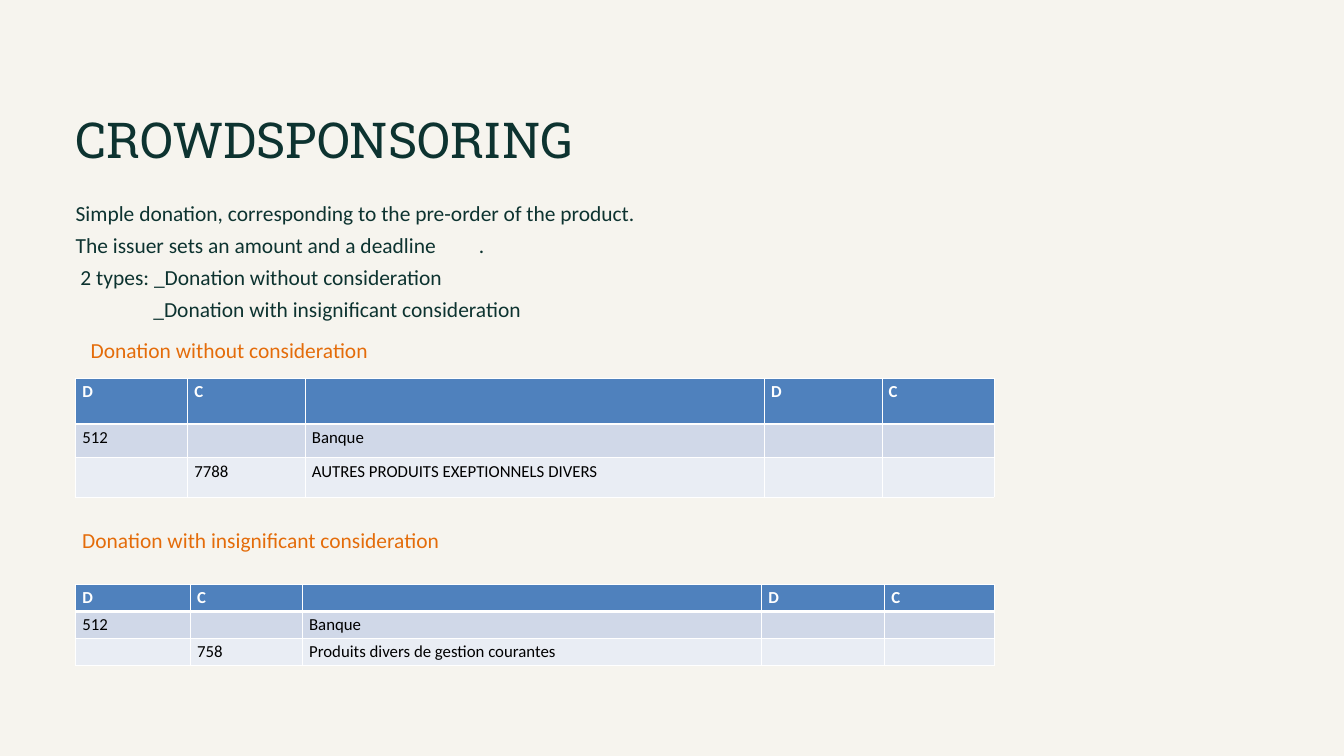
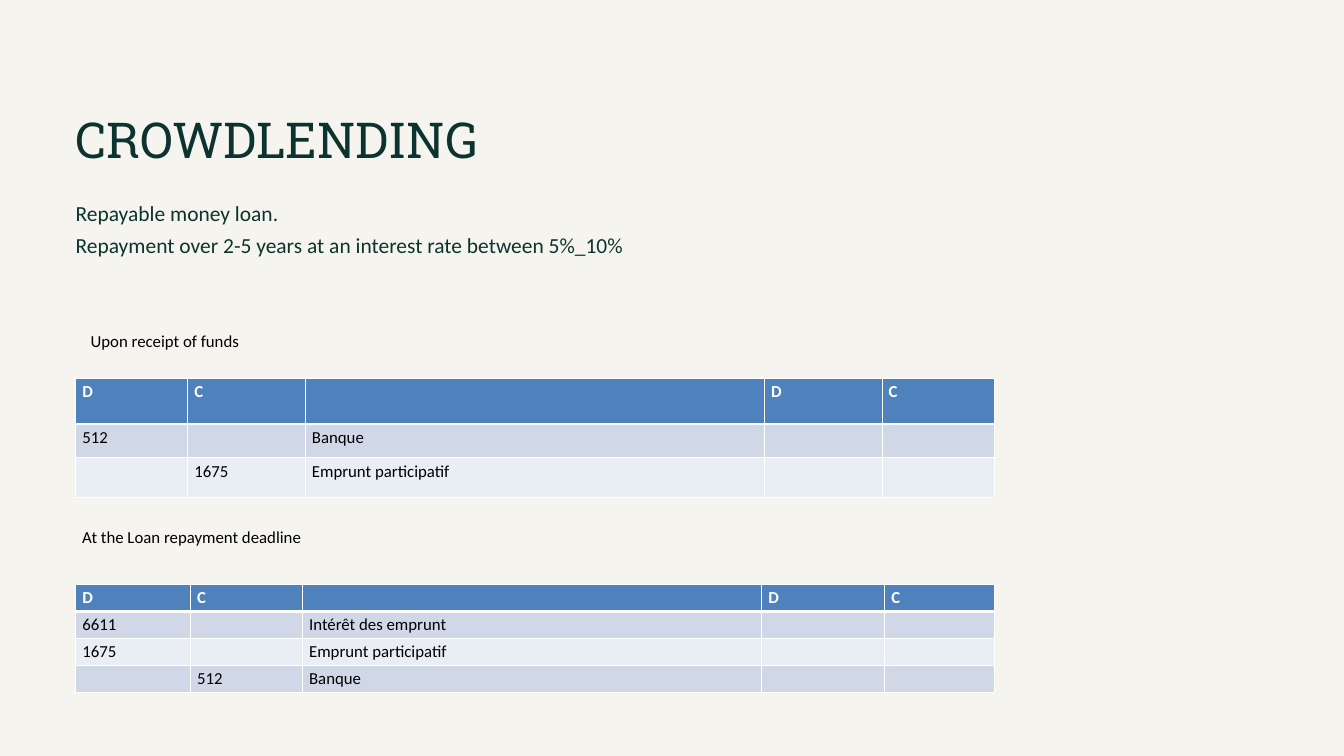
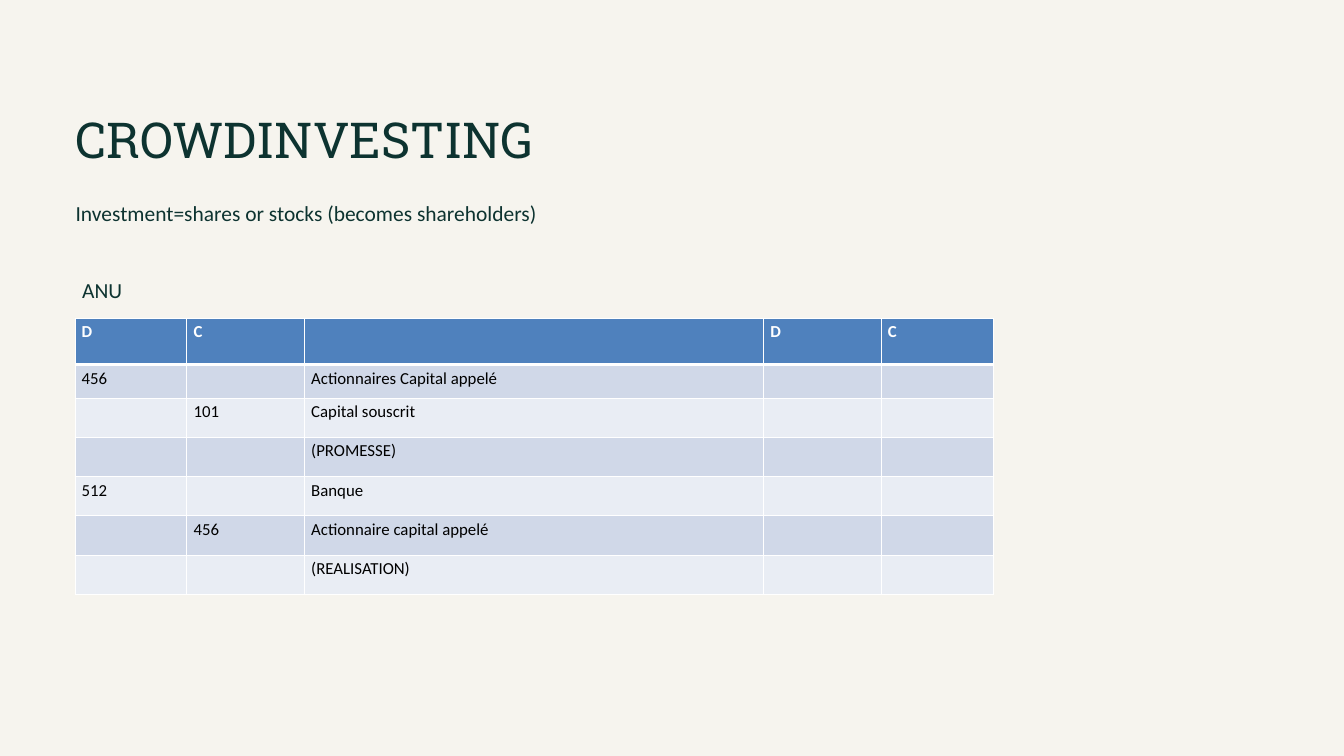
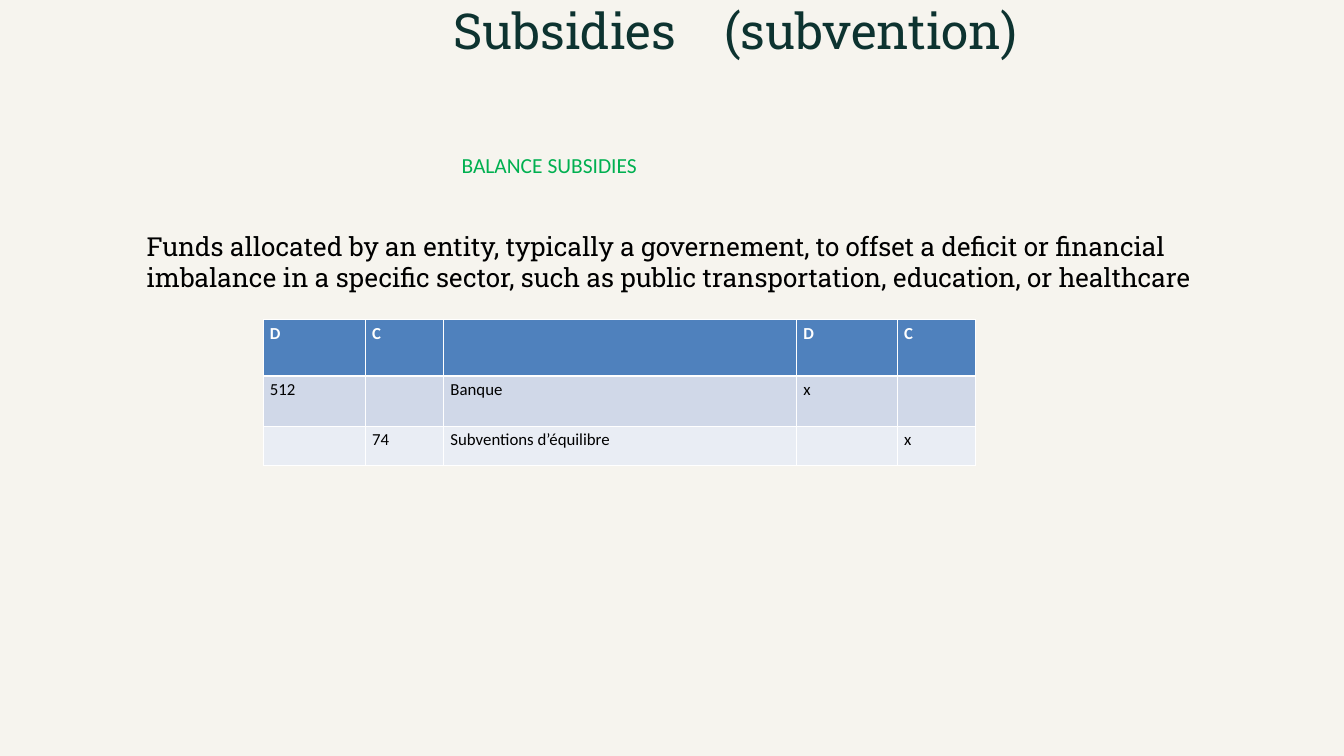
from lxml import etree
from pptx import Presentation
from pptx.dml.color import RGBColor
from pptx.enum.text import MSO_ANCHOR, MSO_AUTO_SIZE, PP_ALIGN
from pptx.oxml.ns import qn
from pptx.util import Emu, Pt

# Shared style
PX = 9525  # EMU per px, 96 px to the inch
TITLE_FONT = "Roboto Slab"
BODY_FONT = "Calibri"
CREAM = RGBColor(0xF6, 0xF4, 0xEE)
DARK_GREEN = RGBColor(0x0D, 0x33, 0x30)
GREEN = RGBColor(0x00, 0xB0, 0x50)
ORANGE = RGBColor(0xE4, 0x6C, 0x0A)
BLACK = RGBColor(0x00, 0x00, 0x00)
WHITE = RGBColor(0xFF, 0xFF, 0xFF)
HEADER_BLUE = RGBColor(0x4F, 0x81, 0xBD)
BAND_DARK = RGBColor(0xD0, 0xD8, 0xE8)
BAND_LIGHT = RGBColor(0xE9, 0xED, 0xF4)

LEFT = PP_ALIGN.LEFT
TOP = MSO_ANCHOR.TOP
GROW = MSO_AUTO_SIZE.SHAPE_TO_FIT_TEXT

# Layout in px
TITLE_ONLY = 5
MARGIN = 108
LINE_HEIGHT = 34.5
TYPES_INDENT = 111
HEADER = ("D", "C", "", "D", "C")
TALL_COLUMNS = (160, 168, 656, 168, 160)
FLAT_COLUMNS = (164, 160, 656, 176, 156)
SUBSIDY_COLUMNS = (146, 112, 504, 144, 112)
TALL_ROWS = (66, 48, 56)
FLAT_ROW = 38


def px(length):
    return Emu(length * PX)


class Deck:
    """Holds the style and the current slide."""

    def __init__(self):
        self.presentation = Presentation()
        self.presentation.slide_width = px(1920)
        self.presentation.slide_height = px(1080)
        background = self.presentation.slide_master.background.fill
        background.solid()
        background.fore_color.rgb = CREAM
        self.slide = None

    def add_slide(self, title, left=MARGIN, top=156, tab=None):
        layout = self.presentation.slide_layouts[TITLE_ONLY]
        self.slide = self.presentation.slides.add_slide(layout)
        shape = self.slide.shapes.title
        shape.left, shape.top = px(left), px(top)
        shape.width, shape.height = px(829), px(82)
        self.fill_frame(shape.text_frame, [title], 53, DARK_GREEN, TITLE_FONT,
                        line_height=63.6, inset=False, tab=tab)

    def add_run(self, paragraph, text, size, color, font=BODY_FONT, bold=False):
        run = paragraph.add_run()
        run.text = text
        run.font.name = font
        run.font.size = Pt(size)
        run.font.bold = bold
        run.font.color.rgb = color

    def fill_frame(self, frame, lines, size, color, font=BODY_FONT,
                   line_height=None, inset=True, tab=None, indents=()):
        frame.word_wrap = True
        frame.auto_size = GROW
        frame.vertical_anchor = TOP
        if not inset:
            frame.margin_left = frame.margin_right = 0
            frame.margin_top = frame.margin_bottom = 0
        for index, line in enumerate(lines):
            paragraph = frame.add_paragraph() if index else frame.paragraphs[0]
            paragraph.alignment = LEFT
            if line_height:
                paragraph.line_spacing = Pt(line_height)
            properties = paragraph._p.get_or_add_pPr()
            if index in indents:
                properties.set("marL", str(px(TYPES_INDENT)))
            if "\t" in line:
                tabs = etree.SubElement(properties, qn("a:tabLst"))
                etree.SubElement(tabs, qn("a:tab"), pos=str(px(tab)), algn="l")
            self.add_run(paragraph, line, size, color, font)

    def add_text(self, text, left, top, width, height, size=23,
                 color=DARK_GREEN, font=BODY_FONT, line_height=None):
        box = self.slide.shapes.add_textbox(px(left), px(top), px(width), px(height))
        self.fill_frame(box.text_frame, [text], size, color, font, line_height)

    def add_intro(self, *lines, indents=()):
        box = self.slide.shapes.add_textbox(
            px(MARGIN), px(276), px(1704), px(46 * len(lines)))
        self.fill_frame(box.text_frame, lines, 23, DARK_GREEN,
                        line_height=LINE_HEIGHT, inset=False, tab=576,
                        indents=indents)

    def add_border(self, cell, side, points):
        line = etree.SubElement(cell._tc.get_or_add_tcPr(), qn("a:" + side),
                                w=str(Pt(points)))
        fill = etree.SubElement(line, qn("a:solidFill"))
        etree.SubElement(fill, qn("a:srgbClr"), val=str(WHITE))

    def add_journal(self, left, top, columns, heights, entries):
        rows = [HEADER, *entries]
        table = self.slide.shapes.add_table(
            len(rows), len(columns), px(left), px(top),
            px(sum(columns)), px(sum(heights))).table
        for column, width in zip(table.columns, columns):
            column.width = px(width)
        for index, (row, height, texts) in enumerate(zip(table.rows, heights, rows)):
            row.height = px(height)
            is_header = index == 0
            band = HEADER_BLUE if is_header else (BAND_LIGHT, BAND_DARK)[index % 2]
            for cell, text in zip(row.cells, texts):
                self.add_border(cell, "lnL", 1)
                self.add_border(cell, "lnR", 1)
                self.add_border(cell, "lnT", 3 if index == 1 else 1)
                self.add_border(cell, "lnB", 3 if is_header else 1)
                cell.fill.solid()
                cell.fill.fore_color.rgb = band
                paragraph = cell.text_frame.paragraphs[0]
                paragraph.font.size = Pt(18)
                if text:
                    self.add_run(paragraph, text, 18,
                                 WHITE if is_header else BLACK, bold=is_header)


def entry(debit, credit, label, debit_amount="", credit_amount=""):
    return debit, credit, label, debit_amount, credit_amount


def add_sponsoring(deck):
    deck.add_slide("CROWDSPONSORING")
    deck.add_intro("Simple donation, corresponding to the pre-order of the product.",
                   "The issuer sets an amount and a deadline\t.",
                   " 2 types: _Donation without consideration",
                   "_Donation with insignificant consideration", indents=(3,))
    # Without consideration
    deck.add_journal(MARGIN, 540, TALL_COLUMNS, TALL_ROWS, [
        entry("512", "", "Banque"),
        entry("", "7788", "AUTRES PRODUITS EXEPTIONNELS DIVERS")])
    deck.add_text("Donation without consideration", 120, 468, 680, 53,
                  color=ORANGE, line_height=LINE_HEIGHT)
    # With insignificant consideration
    deck.add_text("Donation with insignificant consideration", MARGIN, 748, 660, 47,
                  color=ORANGE)
    deck.add_journal(MARGIN, 835, FLAT_COLUMNS, [FLAT_ROW] * 3, [
        entry("512", "", "Banque"),
        entry("", "758", "Produits divers de gestion courantes")])


def add_lending(deck):
    deck.add_slide("CROWDLENDING")
    deck.add_intro("Repayable money loan.",
                   "Repayment over 2-5 years at an interest rate between 5%_10%")
    # Receipt of funds
    deck.add_journal(MARGIN, 540, TALL_COLUMNS, TALL_ROWS, [
        entry("512", "", "Banque"),
        entry("", "1675", "Emprunt participatif")])
    deck.add_text("Upon receipt of funds", 120, 468, 680, 38, 18, BLACK)
    # Repayment
    deck.add_text("At the Loan repayment deadline", MARGIN, 748, 364, 38, 18, BLACK)
    deck.add_journal(MARGIN, 835, FLAT_COLUMNS, [FLAT_ROW] * 4, [
        entry("6611", "", "Intérêt des emprunt"),
        entry("1675", "", "Emprunt participatif"),
        entry("", "512", "Banque")])


def add_investing(deck):
    deck.add_slide("CROWDINVESTING")
    deck.add_intro("Investment=shares or stocks (becomes shareholders)")
    # Promise, then payment
    deck.add_journal(107, 455, TALL_COLUMNS, TALL_ROWS + TALL_ROWS[-1:] * 4, [
        entry("456", "", "Actionnaires Capital appelé"),
        entry("", "101", "Capital souscrit"),
        entry("", "", "(PROMESSE)"),
        entry("512", "", "Banque"),
        entry("", "456", "Actionnaire capital appelé"),
        entry("", "", "(REALISATION)")])
    deck.add_text("ANU", MARGIN, 391, 680, 47)


def add_subsidies(deck):
    deck.add_slide("Subsidies\t(subvention)", 648, 0, tab=387)
    deck.add_text("BALANCE SUBSIDIES", 650, 212, 437, 47, color=GREEN)
    deck.add_journal(376, 457, SUBSIDY_COLUMNS, (80, 72, 56), [
        entry("512", "", "Banque", "x"),
        entry("", "74", "Subventions d’équilibre", "", "x")])
    # Definition
    deck.add_text("Funds allocated by an entity, typically a governement, to offset a "
                  "deficit or financial imbalance in a specific sector, such as public "
                  "transportation, education, or healthcare",
                  200, 324, 1528, 100, 28, BLACK, TITLE_FONT)


def main():
    deck = Deck()
    add_sponsoring(deck)
    add_lending(deck)
    add_investing(deck)
    add_subsidies(deck)
    deck.presentation.save("out.pptx")


if __name__ == "__main__":
    main()
